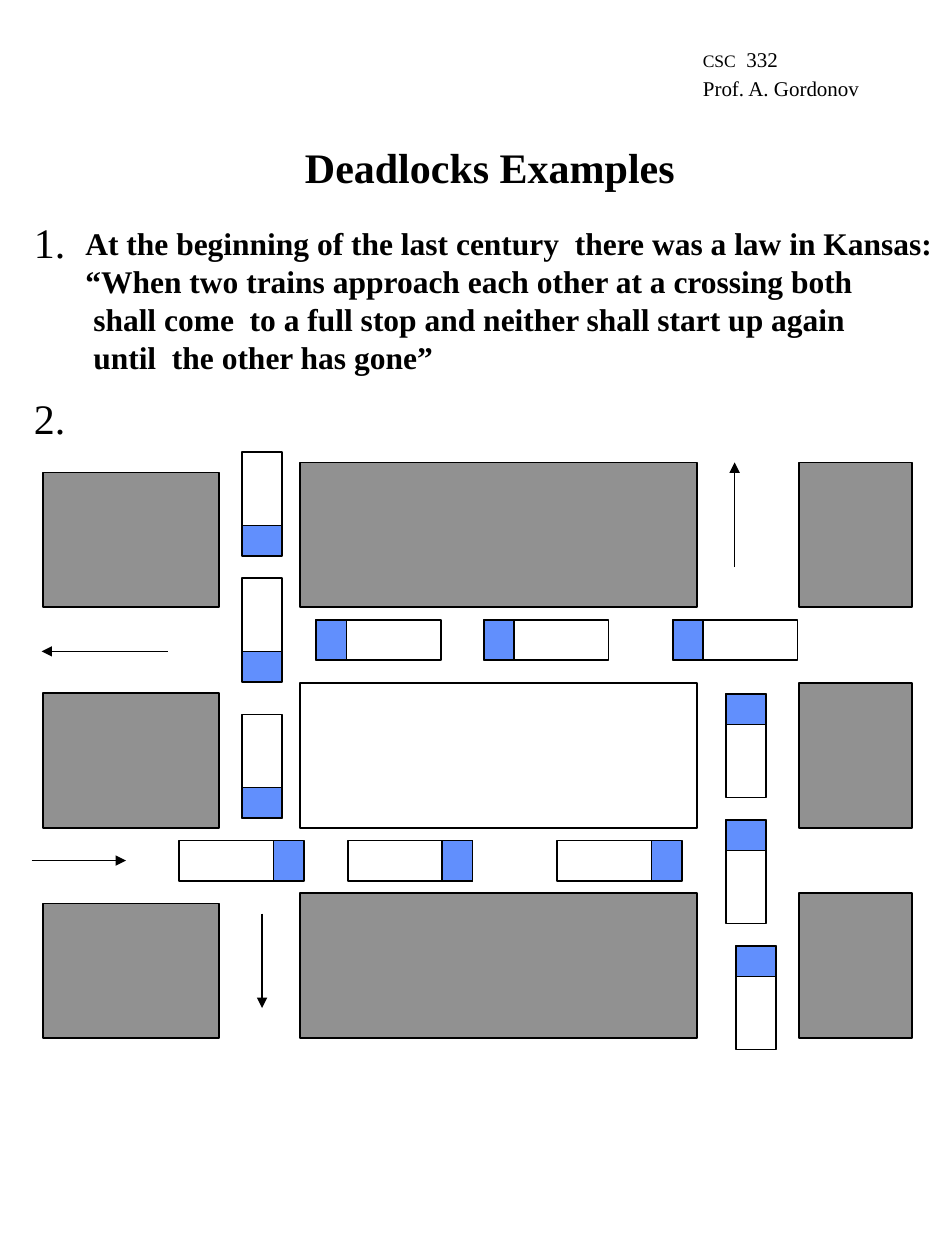
from lxml.etree import SubElement
from pptx import Presentation
from pptx.dml.color import RGBColor
from pptx.enum.shapes import MSO_CONNECTOR as Connector, MSO_SHAPE as Shape
from pptx.enum.text import MSO_ANCHOR as Anchor, MSO_AUTO_SIZE as AutoSize, PP_ALIGN as Align
from pptx.oxml.ns import qn
from pptx.util import Inches, Pt

BLACK = RGBColor(0x00, 0x00, 0x00)
WHITE = RGBColor(0xFF, 0xFF, 0xFF)
GRAY = RGBColor(0x91, 0x91, 0x91)
BLUE = RGBColor(0x61, 0x8F, 0xFD)
FONT = "Times New Roman"

LAW = [
    "At the beginning of the last century  there was a law in Kansas:",
    "“When two trains approach each other at a crossing both",
    " shall come  to a full stop and neither shall start up again",
    " until  the other has gone”",
]
BLOCK_ROWS = [3.67, 5.42, 7.09]
BLOCK_COLUMNS = [(0.34, 0.08, 1.4, 1.07), (2.38, 0, 3.15, 1.15), (6.34, 0, 0.9, 1.15)]
CARS = {
    "left": [(2.51, 4.92), (3.84, 4.92), (5.34, 4.92)],
    "right": [(1.42, 6.67), (2.76, 6.67), (4.42, 6.67)],
    "down": [(1.92, 3.59), (1.92, 4.59), (1.92, 5.67)],
    "up": [(5.76, 5.51), (5.76, 6.51), (5.84, 7.51)],
}
CAR_WIDTH, CAB_LENGTH = 0.32, 0.24
ARROWS = [
    (0.25, 6.83, 1, 6.83),
    (1.33, 5.17, 0.33, 5.17),
    (2.08, 7.25, 2.08, 8),
    (5.83, 4.5, 5.83, 3.67),
]


def format_span(span, size, bold=False):
    """Set the font of one run."""
    span.font.name = FONT
    span.font.size = Pt(size)
    span.font.bold = bold
    span.font.color.rgb = BLACK


def write_lines(box, lines, size, bold=False, wrap=False):
    """Write left-aligned lines of one size into a box."""
    frame = box.text_frame
    frame.text = "\n".join(lines)
    frame.word_wrap = wrap
    frame.auto_size = AutoSize.SHAPE_TO_FIT_TEXT
    frame.vertical_anchor = Anchor.TOP
    for para in frame.paragraphs:
        para.alignment = Align.LEFT
        for span in para.runs:
            format_span(span, size, bold)


def add_title(page, text):
    """Place the slide title on one line."""
    title = page.shapes.title
    title.left, title.top = Inches(2.32), Inches(1.07)
    title.width, title.height = Inches(3.3), Inches(0.5)
    write_lines(title, [text], 24, bold=True)


def add_text(page, left, top, width, height, lines, size, **style):
    """Add a text box and return it."""
    box = page.shapes.add_textbox(Inches(left), Inches(top), Inches(width), Inches(height))
    write_lines(box, lines, size, **style)
    return box


def add_course(page):
    """Add the course and lecturer with mixed text sizes."""
    box = add_text(page, 5.48, 0.15, 1.45, 0.7, ["", "Prof. A. Gordonov"], 12)
    para = box.text_frame.paragraphs[0]
    for text, size in [("CSC", 10), (" ", 24), ("332", 12)]:
        span = para.add_run()
        span.text = text
        format_span(span, size)


def add_box(page, left, top, width, height, fill=None):
    """Add an outlined rectangle, hollow when no fill is given."""
    box = page.shapes.add_shape(
        Shape.RECTANGLE, Inches(left), Inches(top), Inches(width), Inches(height)
    )
    box.shadow.inherit = False
    box.line.color.rgb = BLACK
    box.line.width = Pt(1)
    if fill is None:
        box.fill.background()
    else:
        box.fill.solid()
        box.fill.fore_color.rgb = fill


def add_car(page, left, top, heading):
    """Add a car whose blue cab faces its heading."""
    if heading in ("left", "right"):
        length = 0.99
        cab_left = left + (length - CAB_LENGTH if heading == "right" else 0)
        add_box(page, left, top, length, CAR_WIDTH)
        add_box(page, cab_left, top, CAB_LENGTH, CAR_WIDTH, BLUE)
    else:
        length = 0.82
        cab_top = top + (length - CAB_LENGTH if heading == "down" else 0)
        add_box(page, left, top, CAR_WIDTH, length)
        add_box(page, left, cab_top, CAR_WIDTH, CAB_LENGTH, BLUE)


def add_arrow(page, *ends):
    """Add a straight arrow pointing at its end."""
    arrow = page.shapes.add_connector(Connector.STRAIGHT, *map(Inches, ends))
    arrow.line.color.rgb = BLACK
    arrow.line.width = Pt(1)
    line = arrow._element.spPr.find(qn("a:ln"))
    SubElement(line, qn("a:tailEnd"), type="triangle")
    SubElement(arrow._element.spPr, qn("a:effectLst"))


def main():
    """Build the deadlock examples slide."""
    deck = Presentation()
    deck.slide_width, deck.slide_height = Inches(7.5), Inches(10)
    page = deck.slides.add_slide(deck.slide_layouts[5])
    add_course(page)
    add_title(page, "Deadlocks Examples")
    add_text(page, 0.17, 1.67, 0.45, 0.5, ["1."], 24)
    add_text(page, 0.58, 1.73, 7.16, 1.3, LAW, 18, bold=True, wrap=True)
    add_text(page, 0.17, 3.07, 0.45, 0.5, ["2."], 24)
    for row, top in enumerate(BLOCK_ROWS):
        for column, (left, drop, width, height) in enumerate(BLOCK_COLUMNS):
            fill = WHITE if row == column == 1 else GRAY
            add_box(page, left, top + drop, width, height, fill)
    for heading, places in CARS.items():
        for left, top in places:
            add_car(page, left, top, heading)
    for ends in ARROWS:
        add_arrow(page, *ends)
    deck.save("out.pptx")


if __name__ == "__main__":
    main()
